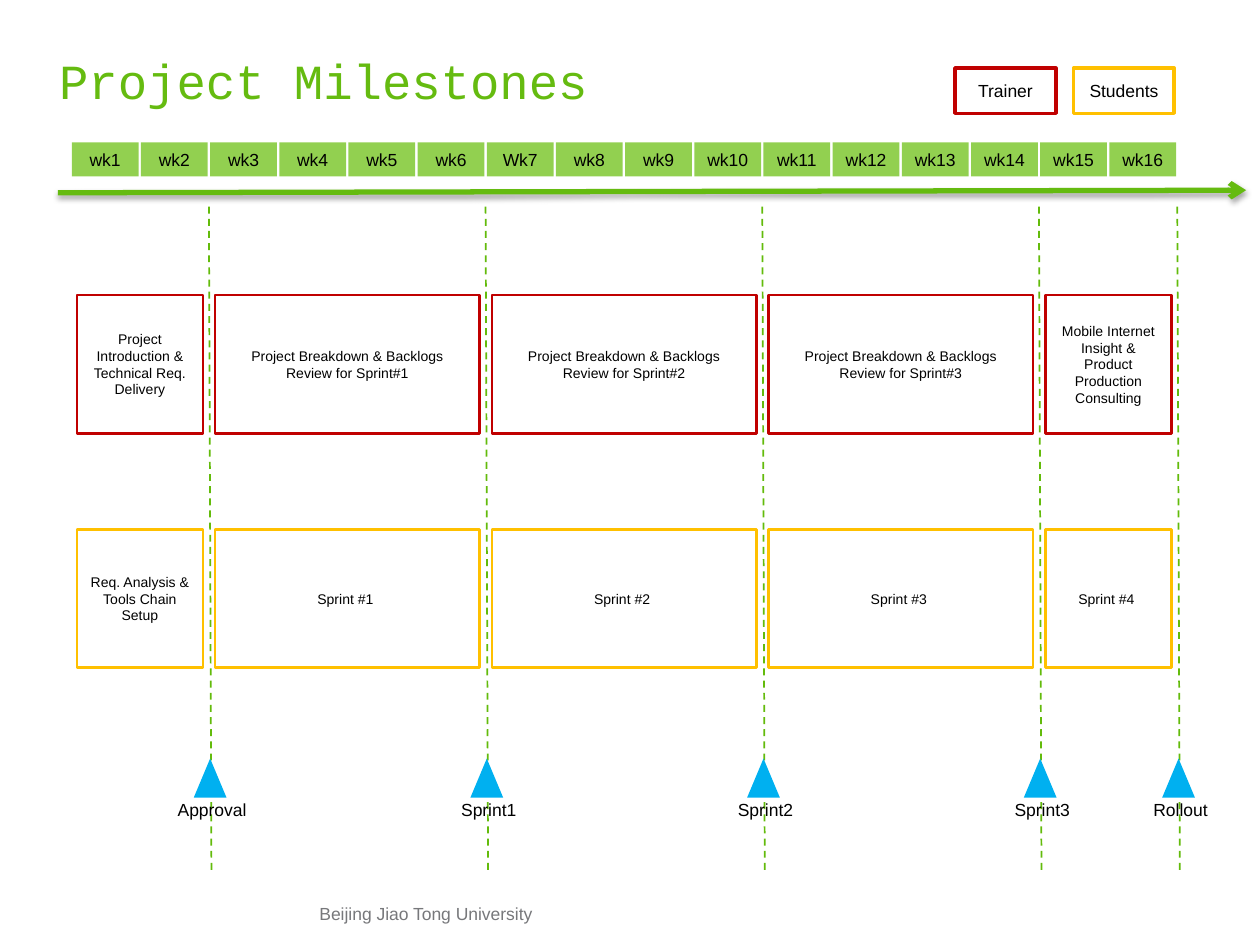
import pptx
import pptx.util
import pptx.dml.color
import pptx.enum.dml
import pptx.enum.shapes
import pptx.enum.text
import lxml.etree

RGBColor = pptx.dml.color.RGBColor
TITLE_GREEN = RGBColor(0x65, 0xBB, 0x10)
DASH_GREEN = RGBColor(0x63, 0xBB, 0x0B)
WEEK_GREEN = RGBColor(0x92, 0xD0, 0x50)
TRAINER_RED = RGBColor(0xC0, 0x00, 0x00)
STUDENT_GOLD = RGBColor(0xFF, 0xC0, 0x00)
MARKER_BLUE = RGBColor(0x00, 0xB0, 0xF0)
FOOTER_GRAY = RGBColor(0x77, 0x78, 0x7B)
BLACK = RGBColor(0, 0, 0)

RECTANGLE = pptx.enum.shapes.MSO_SHAPE.RECTANGLE
TRIANGLE = pptx.enum.shapes.MSO_SHAPE.ISOSCELES_TRIANGLE
STRAIGHT = pptx.enum.shapes.MSO_CONNECTOR.STRAIGHT
TOP = pptx.enum.text.MSO_ANCHOR.TOP
MIDDLE = pptx.enum.text.MSO_ANCHOR.MIDDLE
LEFT = pptx.enum.text.PP_ALIGN.LEFT
CENTER = pptx.enum.text.PP_ALIGN.CENTER
DRAWING = "http://schemas.openxmlformats.org/drawingml/2006/main"

deck = pptx.Presentation()
deck.slide_width = pptx.util.Inches(10)
deck.slide_height = pptx.util.Inches(7.5)
page = deck.slides.add_slide(deck.slide_layouts[6])

X = deck.slide_width / 100
Y = deck.slide_height / 100
GRID_LEFT = 5.7
WEEK = 5.49
MILESTONES = {"Approval": 2, "Sprint1": 6, "Sprint2": 10, "Sprint3": 14, "Rollout": 16}


def add_box(shapes, kind, left, top, width, height, fill=None, line=None, weight=1.5):
    frame = [int(left * X), int(top * Y), int(width * X), int(height * Y)]
    if kind is None:
        return shapes.add_textbox(*frame)
    box = shapes.add_shape(kind, *frame)
    box.shadow.inherit = False
    if fill is None:
        box.fill.background()
    else:
        box.fill.solid()
        box.fill.fore_color.rgb = fill
    if line is None:
        box.line.fill.background()
    else:
        box.line.color.rgb = line
        box.line.width = pptx.util.Pt(weight)
    return box


def write(box, text, size=10, color=BLACK, font="Arial", align=CENTER, anchor=MIDDLE, inset=(0, 0)):
    frame = box.text_frame
    frame.word_wrap = True
    frame.vertical_anchor = anchor
    frame.margin_left = frame.margin_right = pptx.util.Inches(inset[0])
    frame.margin_top = frame.margin_bottom = pptx.util.Inches(inset[1])
    para = frame.paragraphs[0]
    para.alignment = align
    span = para.add_run()
    span.text = text
    span.font.size = pptx.util.Pt(size)
    span.font.name = font
    span.font.color.rgb = color


title = add_box(page.shapes, None, 4.7, 4.67, 90.6, 7.6)
write(title, "Project Milestones", 28, TITLE_GREEN, "Courier New", LEFT)
footer = add_box(page.shapes, None, 17.6, 95.6, 32.4, 3.73)
write(footer, "Beijing Jiao Tong University", color=FOOTER_GRAY, anchor=TOP)

arrow = page.shapes.add_connector(
    STRAIGHT, int(4.6 * X), int(20.4 * Y), int(98.9 * X), int(20.13 * Y))
arrow.line.color.rgb = TITLE_GREEN
arrow.line.width = pptx.util.Pt(3)
lxml.etree.SubElement(arrow.line._get_or_add_ln(), f"{{{DRAWING}}}tailEnd", type="arrow")
arrow._element.spPr.append(lxml.etree.fromstring(
    f'<a:effectLst xmlns:a="{DRAWING}"><a:outerShdw blurRad="39370" dist="22860" '
    'dir="5400000" rotWithShape="0"><a:srgbClr val="000000"><a:alpha val="35000"/>'
    '</a:srgbClr></a:outerShdw></a:effectLst>'))

for week in range(16):
    box = add_box(page.shapes, RECTANGLE, GRID_LEFT + week * WEEK, 15.07, 5.3, 3.6, WEEK_GREEN)
    write(box, "Wk7" if week == 6 else f"wk{week + 1}")

for week in MILESTONES.values():
    edge = GRID_LEFT + week * WEEK
    divider = page.shapes.add_connector(
        STRAIGHT, int((edge - 0.1) * X), int(21.87 * Y), int((edge + 0.1) * X), int(92.13 * Y))
    divider.line.color.rgb = DASH_GREEN
    divider.line.width = pptx.util.Pt(1)
    divider.line.dash_style = pptx.enum.dml.MSO_LINE.DASH
    lxml.etree.SubElement(divider._element.spPr, f"{{{DRAWING}}}effectLst")

review = "Project Breakdown & Backlogs Review for Sprint#"
rows = [
    (31.2, TRAINER_RED, ["Project Introduction & Technical Req. Delivery",
                         review + "1", review + "2", review + "3",
                         "Mobile Internet Insight & Product Production Consulting"]),
    (56, STUDENT_GOLD, ["Req. Analysis & Tools Chain Setup",
                        "Sprint #1 ", "Sprint #2 ", "Sprint #3 ", "Sprint #4 "]),
]
starts = [0, 2, 6, 10, 14]
for top, color, tasks in rows:
    for start, end, task in zip(starts, MILESTONES.values(), tasks):
        width = (end - start) * WEEK - 0.96
        box = add_box(page.shapes, RECTANGLE, GRID_LEFT + start * WEEK + 0.4, top,
                      width, 14.67, line=color)
        write(box, task, 8, inset=(0.1, 0.05))

for label, week in MILESTONES.items():
    center = GRID_LEFT + week * WEEK
    marker = page.shapes.add_group_shape()
    add_box(marker.shapes, TRIANGLE, center - 1.3, 80.27, 2.6, 4.13, MARKER_BLUE)
    caption = add_box(marker.shapes, None, center - 3.6, 83.87, 7.5, 3.6)
    write(caption, label, anchor=TOP, inset=(0.1, 0.05))

for left, label, color in [(75.8, "Trainer", TRAINER_RED), (85.2, "Students", STUDENT_GOLD)]:
    box = add_box(page.shapes, RECTANGLE, left, 7.2, 8, 4.8, line=color, weight=2)
    write(box, label)

deck.save("out.pptx")
